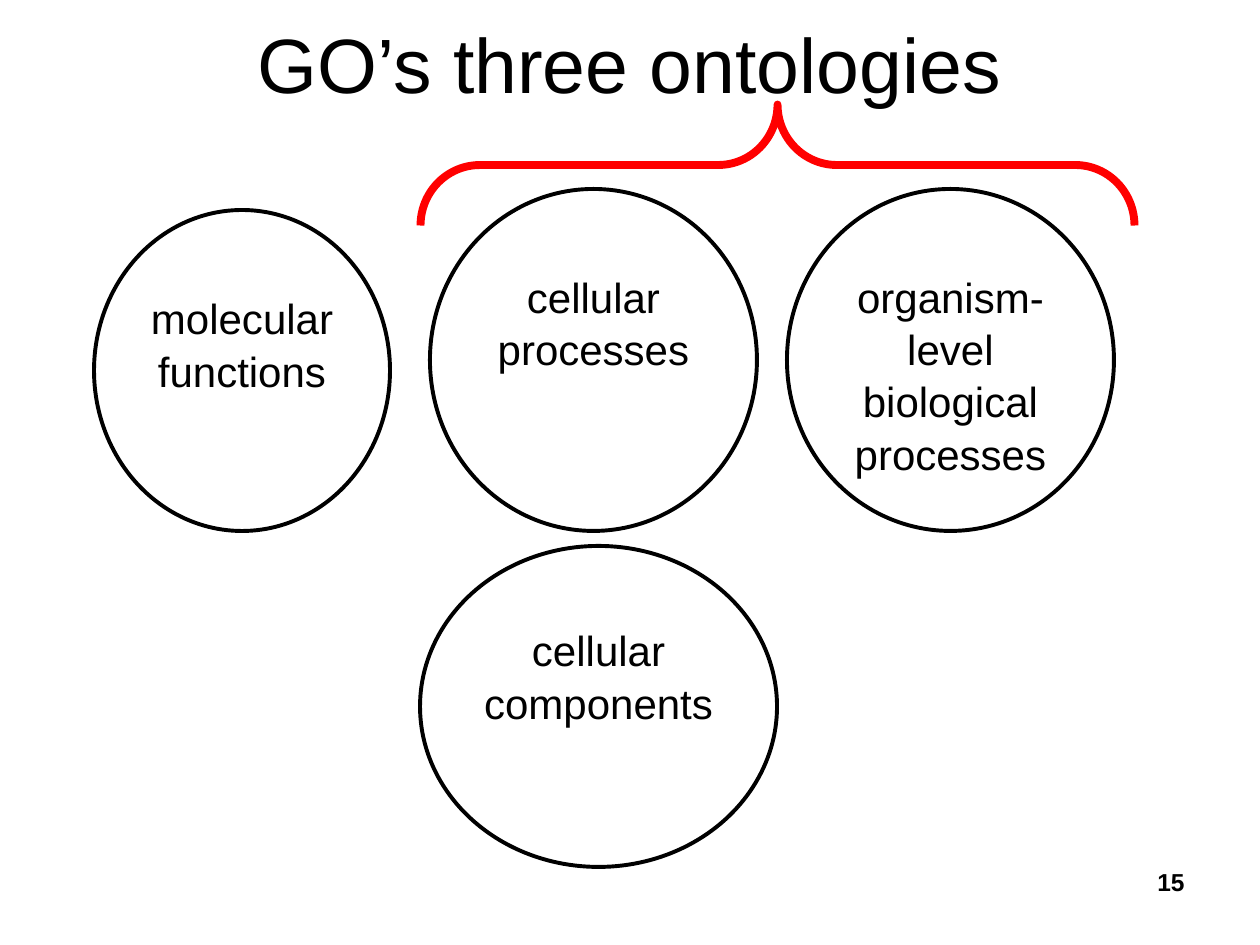
from pptx import Presentation
from pptx import util as u
from pptx.dml.color import RGBColor
from pptx.enum import shapes, text

PX = u.Inches(1) // 126
BLACK = RGBColor(0, 0, 0)
WHITE = RGBColor(255, 255, 255)
RED = RGBColor(255, 0, 0)


def add_line(paragraph, words, size, align, bold=False):
    paragraph.alignment = align
    run = paragraph.add_run()
    run.text = words
    run.font.name = "Arial"
    run.font.size = u.Pt(size)
    run.font.bold = bold
    run.font.color.rgb = BLACK


presentation = Presentation()
presentation.slide_width = 1260 * PX
presentation.slide_height = 945 * PX
slide = presentation.slides.add_slide(presentation.slide_layouts[6])

labels = [
    ("15", (903, 861, 294, 66), 14, text.PP_ALIGN.RIGHT, text.MSO_ANCHOR.TOP, True),
    ("GO’s three ontologies", (63, 0, 1134, 126), 44, text.PP_ALIGN.CENTER, text.MSO_ANCHOR.MIDDLE, False),
]
for words, box, size, align, anchor, bold in labels:
    shape = slide.shapes.add_textbox(*[length * PX for length in box])
    frame = shape.text_frame
    frame.word_wrap = True
    frame.vertical_anchor = anchor
    add_line(frame.paragraphs[0], words, size, align, bold)

ontologies = [
    ((94, 210, 296, 321), 34, ["molecular functions"]),
    ((420, 546, 357, 321), 30, ["cellular components"]),
    ((787, 189, 327, 342), 30, ["organism-level", "biological processes"]),
    ((430, 189, 327, 342), 30, ["cellular", "processes"]),
]
for box, top_margin, lines in ontologies:
    shape = slide.shapes.add_shape(shapes.MSO_SHAPE.OVAL, *[length * PX for length in box])
    shape.shadow.inherit = False
    shape.fill.solid()
    shape.fill.fore_color.rgb = WHITE
    shape.line.color.rgb = BLACK
    shape.line.width = u.Pt(2.25)
    frame = shape.text_frame
    frame.word_wrap = True
    frame.vertical_anchor = text.MSO_ANCHOR.TOP
    frame.margin_left = frame.margin_right = 11 * PX
    frame.margin_top = top_margin * PX
    frame.margin_bottom = 5 * PX
    for index, words in enumerate(lines):
        paragraph = frame.add_paragraph() if index else frame.paragraphs[0]
        paragraph.line_spacing = 1.04
        add_line(paragraph, words, 24, text.PP_ALIGN.CENTER)

brace = slide.shapes.add_shape(shapes.MSO_SHAPE.LEFT_BRACE, 717 * PX, -192 * PX, 121 * PX, 714 * PX)
brace.rotation = 90
brace.adjustments[0] = 0.49
brace.adjustments[1] = 0.5
brace.shadow.inherit = False
brace.fill.background()
brace.line.color.rgb = RED
brace.line.width = u.Pt(4.5)

presentation.save("out.pptx")
